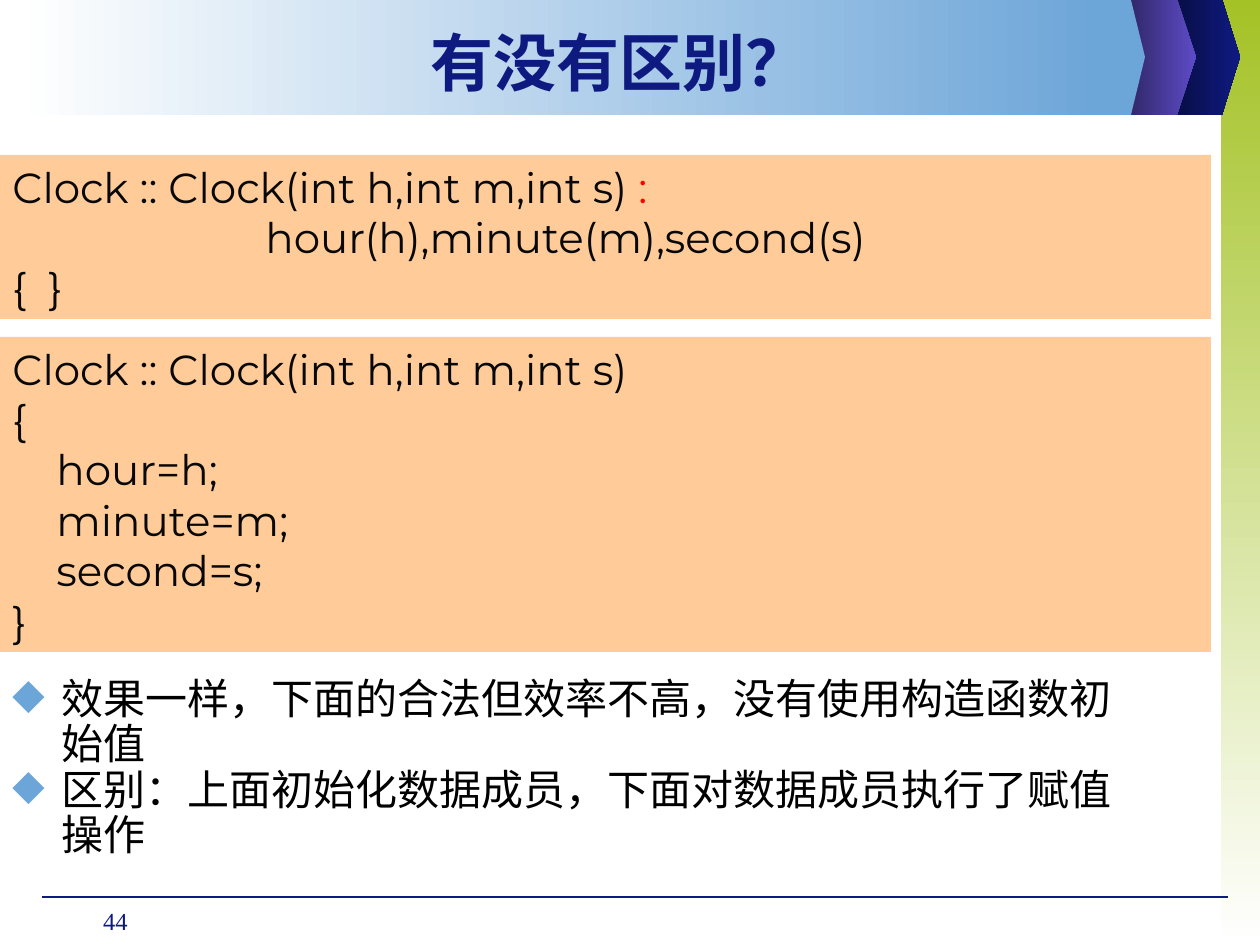
from lxml.etree import SubElement
from pptx import Presentation
from pptx.dml.color import RGBColor
from pptx.enum.shapes import MSO_CONNECTOR, MSO_SHAPE
from pptx.enum.text import MSO_ANCHOR, PP_ALIGN
from pptx.oxml.ns import qn
from pptx.util import Emu, Pt

SCALE = 914400 / 126
NAVY, BLUE, PEACH = "0F1A81", "6CA5D8", "FFCC99"
INK, RED, WHITE = "080808", "FF0000", "FFFFFF"
HAN, CODE, SERIF = "Noto Sans CJK SC", "Montserrat", "Times New Roman"


def px(*nums):
    return [Emu(round(n * SCALE)) for n in nums]


def rgb(code):
    return RGBColor.from_string(code)


def paint(shape, fill, turn=0):
    """Fill with one colour, or with a gradient turned clockwise for a pair."""
    shape.shadow.inherit = False
    shape.line.fill.background()
    if isinstance(fill, str):
        shape.fill.solid()
        shape.fill.fore_color.rgb = rgb(fill)
        return
    shape.fill.gradient()
    shape.fill.gradient_angle = 360 - turn
    for stop, color in zip(shape.fill.gradient_stops, fill):
        stop.color.rgb = rgb(color)


def add_run(para, text, size=24, font=HAN, color=INK, bold=False):
    run = para.add_run()
    run.text = text
    run.font.size = Pt(size)
    run.font.name = font
    run.font.bold = bold
    run.font.color.rgb = rgb(color)
    SubElement(run.font._element, qn("a:ea"), typeface=font)


def add_mark(para, sign, color, indent):
    """Give the paragraph a coloured bullet with a hanging indent."""
    props = para._p.get_or_add_pPr()
    props.set("marL", str(indent))
    props.set("indent", str(-indent))
    tint = SubElement(props, qn("a:buClr"))
    SubElement(tint, qn("a:srgbClr"), val=color)
    SubElement(props, qn("a:buChar"), char=sign)


def write(shape, text, align=PP_ALIGN.LEFT, anchor=MSO_ANCHOR.TOP,
          mark=None, space=None, **look):
    """Write each line of text as a paragraph and return the paragraphs."""
    frame = shape.text_frame
    frame.word_wrap = True
    frame.vertical_anchor = anchor
    for i, line in enumerate(text.split("\n")):
        para = frame.add_paragraph() if i else frame.paragraphs[0]
        para.alignment = align
        if mark:
            add_mark(para, mark, BLUE, px(49)[0])
        if space:
            para.line_spacing = space
        add_run(para, line, **look)
    return frame.paragraphs


class Deck:
    """Holds the file and its current slide."""

    def __init__(self, width, height):
        self.file = Presentation()
        self.file.slide_width, self.file.slide_height = px(width, height)
        self.slide = self.file.slides.add_slide(self.file.slide_layouts[6])
        self.shapes = self.slide.shapes

    def rect(self, *box, fill, turn=0):
        shape = self.shapes.add_shape(MSO_SHAPE.RECTANGLE, *px(*box))
        paint(shape, fill, turn)
        return shape

    def arrow(self, left, neck, tip, top, fill):
        """Draw a flat-backed block that points right."""
        base, mid = 115, 57
        pen = self.shapes.build_freeform(left, top, scale=SCALE)
        pen.add_line_segments(
            [(neck, top), (tip, mid), (neck, base), (left, base)], close=True)
        paint(pen.convert_to_shape(), fill)

    def line(self, *ends, color, width):
        line = self.shapes.add_connector(MSO_CONNECTOR.STRAIGHT, *px(*ends))
        line.line.color.rgb = rgb(color)
        line.line.width = Pt(width)
        SubElement(line._element.spPr, qn("a:effectLst"))

    def text(self, *box, text, **look):
        write(self.shapes.add_textbox(*px(*box)), text, **look)

    def code(self, top, height, text):
        return write(self.rect(0, top, 1211, height, fill=PEACH), text,
                     font=CODE)


INIT = """Clock :: Clock(int h,int m,int s) 
                       hour(h),minute(m),second(s)
{  }"""

ASSIGN = """Clock :: Clock(int h,int m,int s)
{
    hour=h;
    minute=m;
    second=s;
}"""

NOTES = """效果一样，下面的合法但效率不高，没有使用构造函数初始值
区别：上面初始化数据成员，下面对数据成员执行了赋值操作"""


def main():
    deck = Deck(1260, 945)
    deck.rect(1221, 0, 39, 945, fill=("A4C226", WHITE), turn=90)
    deck.arrow(1166, 1222, 1240, -1, fill=("070C3C", NAVY))
    deck.arrow(1121, 1177, 1196, -1, fill=("2B235C", "5D4BC7"))
    deck.line(42, 897, 1228, 897, color=NAVY, width=0.75)
    deck.rect(15, 0, 1096, 115, fill=(WHITE, BLUE))
    deck.arrow(1087, 1131, 1145, 0, fill=BLUE)

    deck.text(113, 18, 1012, 87, text="有没有区别？", size=36, color=NAVY,
              bold=True, align=PP_ALIGN.CENTER, anchor=MSO_ANCHOR.MIDDLE)
    head = deck.code(155, 164, INIT)[0]
    add_run(head, ":", font=CODE, color=RED)
    deck.code(337, 315, ASSIGN)
    deck.text(0, 672, 1158, 260, text=NOTES, color="000000", mark="◆",
              space=0.9)
    deck.text(54, 900, 86, 45, text="44", size=14, font=SERIF, color=NAVY,
              align=PP_ALIGN.RIGHT)
    deck.file.save("out.pptx")


if __name__ == "__main__":
    main()
